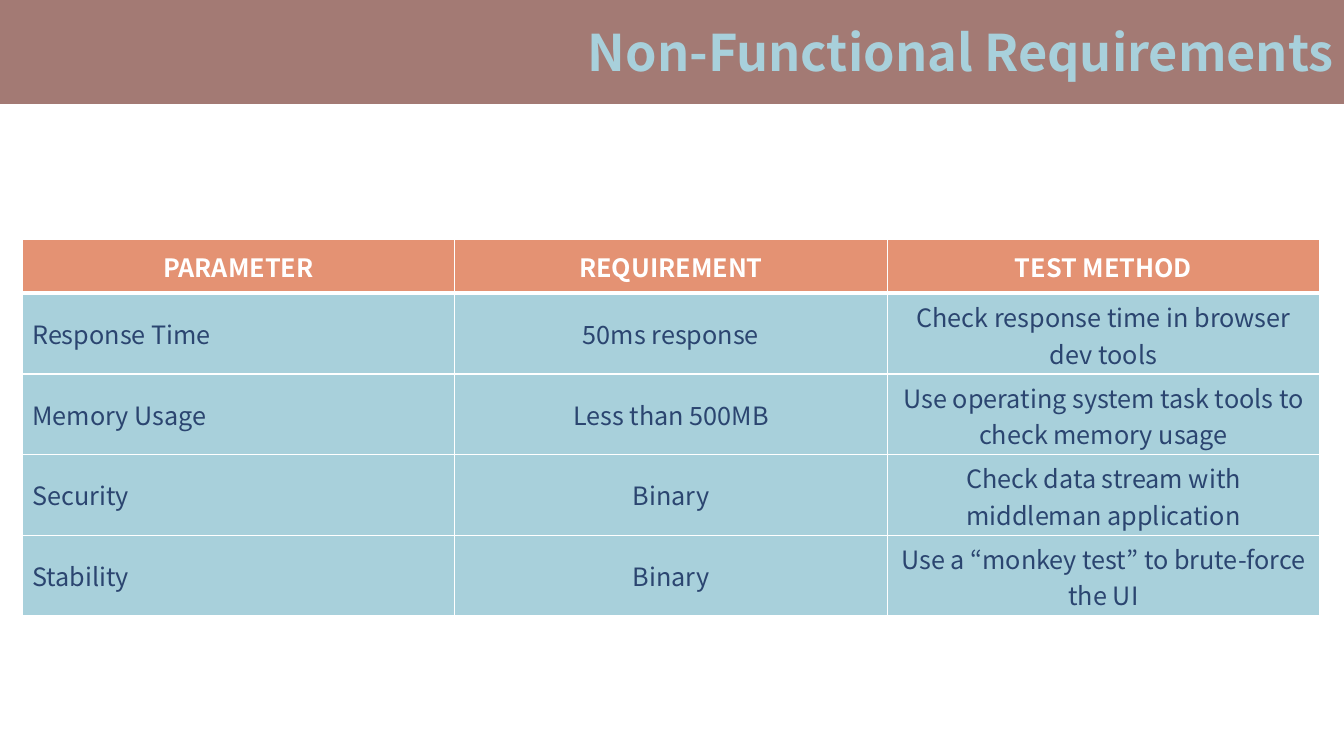
from lxml import etree
from pptx import Presentation, util as u
from pptx.dml.color import RGBColor
from pptx.enum import shapes, text
from pptx.oxml.ns import qn

TITLE = "Non-Functional Requirements"
ROWS = [
    ("PARAMETER", "REQUIREMENT", "TEST METHOD"),
    ("Response Time", "50ms response", "Check response time in browser dev tools"),
    ("Memory Usage", "Less than 500MB",
     "Use operating system task tools to check memory usage"),
    ("Security", "Binary", "Check data stream with middleman application"),
    ("Stability", "Binary", "Use a “monkey test” to brute-force the UI"),
]
FONT = "Noto Sans CJK JP"
WHITE, BROWN, ORANGE, SKY, NAVY = "FFFFFF", "A37A74", "E49273", "A8D0DB", "2B4570"
WIDE, HIGH = 13.33, 7.5
LEFT, TOP, COL, HEAD, ROW = 0.22, 2.38, 4.29, 0.53, 0.8


def tint(hue):
    return RGBColor.from_string(hue)


def box(*sides):
    return [u.Inches(side) for side in sides]


def paint(item, hue):
    item.fill.solid()
    item.fill.fore_color.rgb = tint(hue)


def write(frame, words, size, hue, bold, align):
    frame.text = words
    para = frame.paragraphs[0]
    para.alignment = align
    font = para.runs[0].font
    font.name, font.size, font.bold = FONT, u.Pt(size), bold
    font.color.rgb = tint(hue)


def edge(cell, widths):
    """Draw white cell borders; widths maps a side (L, R, T, B) to points."""
    props = cell._tc.get_or_add_tcPr()
    for spot, (side, width) in enumerate(widths.items()):
        line = etree.Element(qn("a:ln" + side), w=str(u.Pt(width)))
        fill = etree.SubElement(line, qn("a:solidFill"))
        etree.SubElement(fill, qn("a:srgbClr"), val=WHITE)
        props.insert(spot, line)


def add_title(slide):
    band = slide.shapes.add_shape(shapes.MSO_SHAPE.RECTANGLE, *box(0, -0.01, WIDE, 1.04))
    band.shadow.inherit = False
    paint(band, BROWN)
    band.line.fill.background()
    frame = slide.shapes.add_textbox(*box(5.73, 0.16, WIDE - 5.73, 0.71)).text_frame
    frame.word_wrap = False
    frame.auto_size = text.MSO_AUTO_SIZE.SHAPE_TO_FIT_TEXT
    write(frame, TITLE, 36, SKY, True, text.PP_ALIGN.CENTER)


def add_grid(slide):
    count, cols = len(ROWS), len(ROWS[0])
    size = box(LEFT, TOP, cols * COL, HEAD + (count - 1) * ROW)
    table = slide.shapes.add_table(count, cols, *size).table
    for col in table.columns:
        col.width = u.Inches(COL)
    for r, row in enumerate(ROWS):
        head = r == 0
        table.rows[r].height = u.Inches(HEAD if head else ROW)
        for c, words in enumerate(row):
            cell = table.cell(r, c)
            cell.vertical_anchor = text.MSO_ANCHOR.MIDDLE
            paint(cell, ORANGE if head else SKY)
            edge(cell, {"L": 1, "R": 1, "T": 3 if r == 1 else 1, "B": 3 if head else 1})
            align = text.PP_ALIGN.CENTER if head or c else text.PP_ALIGN.LEFT
            write(cell.text_frame, words, 18, WHITE if head else NAVY, head, align)


def main():
    deck = Presentation()
    deck.slide_width, deck.slide_height = box(WIDE, HIGH)
    slide = deck.slides.add_slide(deck.slide_layouts[6])
    add_title(slide)
    add_grid(slide)
    deck.save("out.pptx")


if __name__ == "__main__":
    main()
